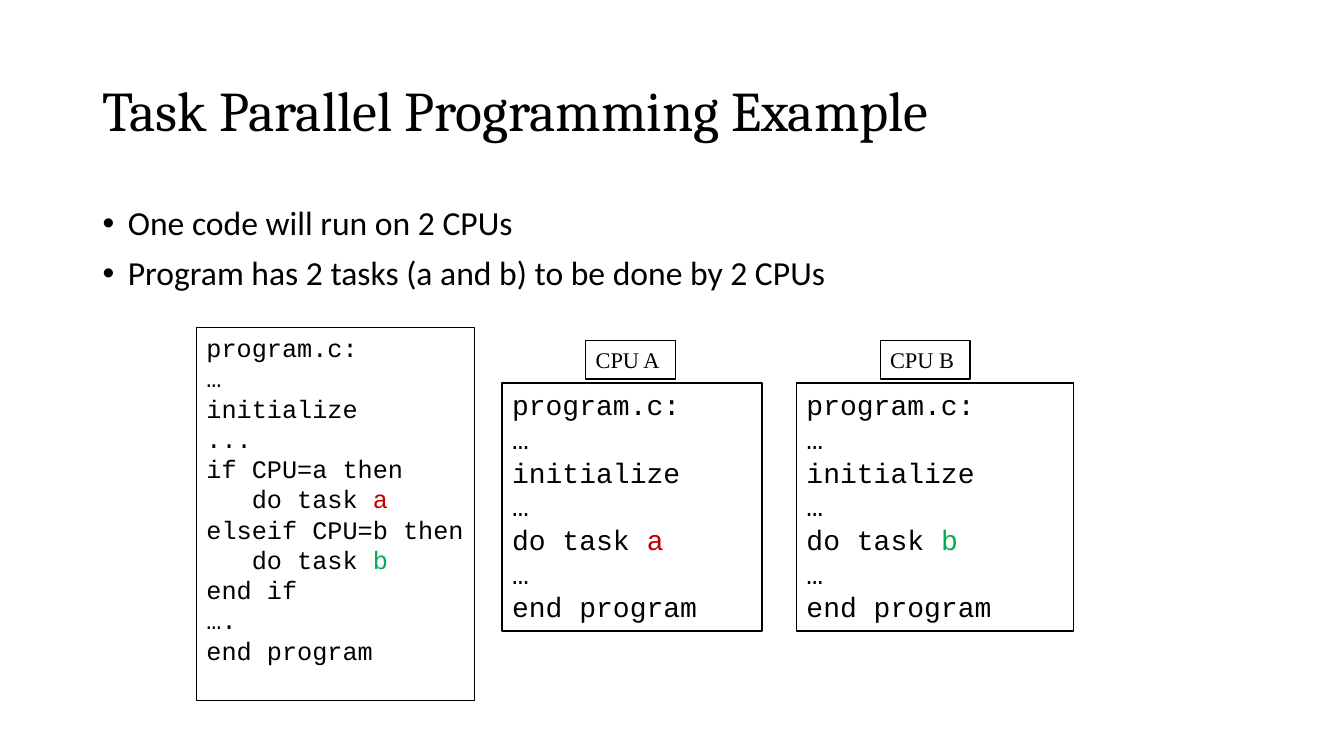
from lxml.etree import SubElement
from pptx import Presentation
from pptx.dml.color import RGBColor as RGB
from pptx.enum.shapes import MSO_SHAPE as Shape
from pptx.enum.text import MSO_ANCHOR as Anchor, MSO_AUTO_SIZE as Auto, PP_ALIGN as Align
from pptx.oxml.ns import qn
from pptx.util import Inches, Pt

COLORS = {"ink": "000000", "a": "C00000", "b": "00B050"}
PROGRAM = ["program.c:", "…", "initialize", "...", "if CPU=a then", "   do task a",
           "elseif CPU=b then", "   do task b", "end if", "….", "end program"]
POINTS = ["One code will run on 2 CPUs",
          "Program has 2 tasks (a and b) to be done by 2 CPUs"]


def add_run(para, text, font, size, color="ink"):
    """Append one formatted run to a paragraph."""
    run = para.add_run()
    run.text = text
    run.font.name = font
    run.font.size = Pt(size)
    run.font.color.rgb = RGB.from_string(COLORS[color])


def add_paras(frame, count):
    """Return the given number of paragraphs of an empty frame."""
    return [frame.paragraphs[0]] + [frame.add_paragraph() for _ in range(count - 1)]


def add_title(slide, text):
    """Place and fill the title placeholder."""
    title = slide.shapes.title
    title.left, title.top = Inches(0.92), Inches(0.4)
    title.width, title.height = Inches(11.5), Inches(1.45)
    frame = title.text_frame
    frame.vertical_anchor = Anchor.MIDDLE
    frame.word_wrap = True
    para = frame.paragraphs[0]
    para.alignment = Align.LEFT
    para.line_spacing = 0.9
    add_run(para, text, "Cambria", 40)


def add_bullets(slide, points):
    """Add the bulleted points below the title."""
    box = slide.shapes.add_textbox(Inches(0.92), Inches(2), Inches(11.5), Inches(1.26))
    frame = box.text_frame
    frame.word_wrap = True
    for num, (para, text) in enumerate(zip(add_paras(frame, len(points)), points)):
        props = para._p.get_or_add_pPr()
        props.set("marL", str(Inches(0.25)))
        props.set("indent", str(-Inches(0.25)))
        SubElement(props, qn("a:buFont"), typeface="Arial")
        SubElement(props, qn("a:buChar"), char="•")
        para.line_spacing = 0.9
        para.space_before = Pt(10 if num else 0)
        add_run(para, text, "Calibri", 24)


def add_box(slide, left, top, width, height, wrap):
    """Add an outlined rectangle and return its text frame."""
    box = slide.shapes.add_shape(Shape.RECTANGLE, Inches(left), Inches(top),
                                 Inches(width), Inches(height))
    box.shadow.inherit = False
    box.fill.background()
    box.line.color.rgb = RGB.from_string(COLORS["ink"])
    box.line.width = Pt(1)
    frame = box.text_frame
    frame.word_wrap = wrap
    frame.auto_size = Auto.NONE
    frame.vertical_anchor = Anchor.TOP
    return frame


def add_code(slide, lines, size, left, top, width, height, wrap=True):
    """Add a box of code with each task letter in its colour."""
    frame = add_box(slide, left, top, width, height, wrap)
    for para, line in zip(add_paras(frame, len(lines)), lines):
        para.alignment = Align.LEFT
        head, mark, task = line.partition("do task ")
        add_run(para, head + mark, "Courier New", size)
        if task:
            add_run(para, task, "Courier New", size, task)


def add_cpu(slide, task, left, width):
    """Add one CPU label and the code that it runs."""
    frame = add_box(slide, left + 0.83, 3.38, 0.89, 0.38, False)
    para = frame.paragraphs[0]
    para.alignment = Align.LEFT
    add_run(para, f"CPU {task.upper()}", "Times New Roman", 16)
    lines = ["program.c:", "…", "initialize", "…", f"do task {task}", "…", "end program"]
    add_code(slide, lines, 20, left, 3.8, width, 2.46)


def main():
    """Build and save the slide."""
    deck = Presentation()
    deck.slide_width, deck.slide_height = Inches(13.33), Inches(7.5)
    slide = deck.slides.add_slide(deck.slide_layouts[5])
    add_title(slide, "Task Parallel Programming Example")
    add_bullets(slide, POINTS)
    add_code(slide, PROGRAM, 18, 1.95, 3.25, 2.76, 3.7, wrap=False)
    add_cpu(slide, "a", 4.98, 2.58)
    add_cpu(slide, "b", 7.9, 2.75)
    deck.save("out.pptx")


if __name__ == "__main__":
    main()
